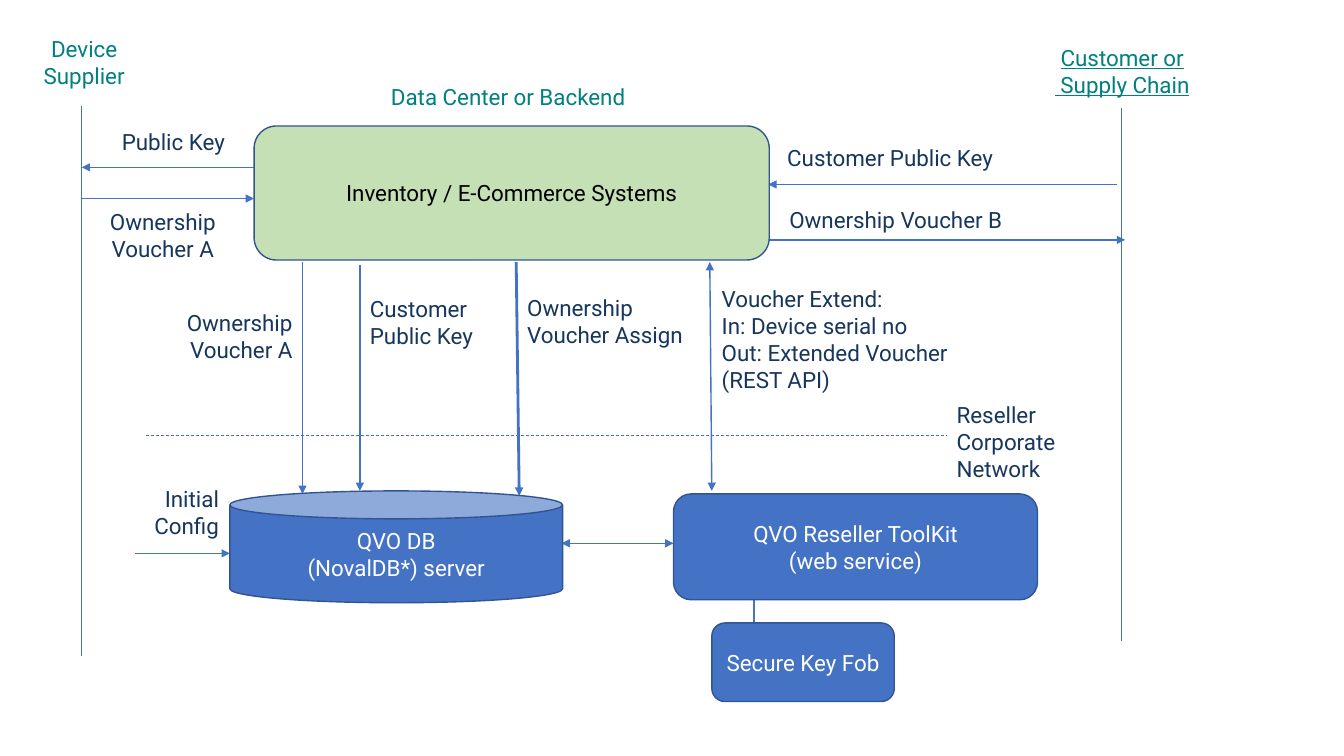
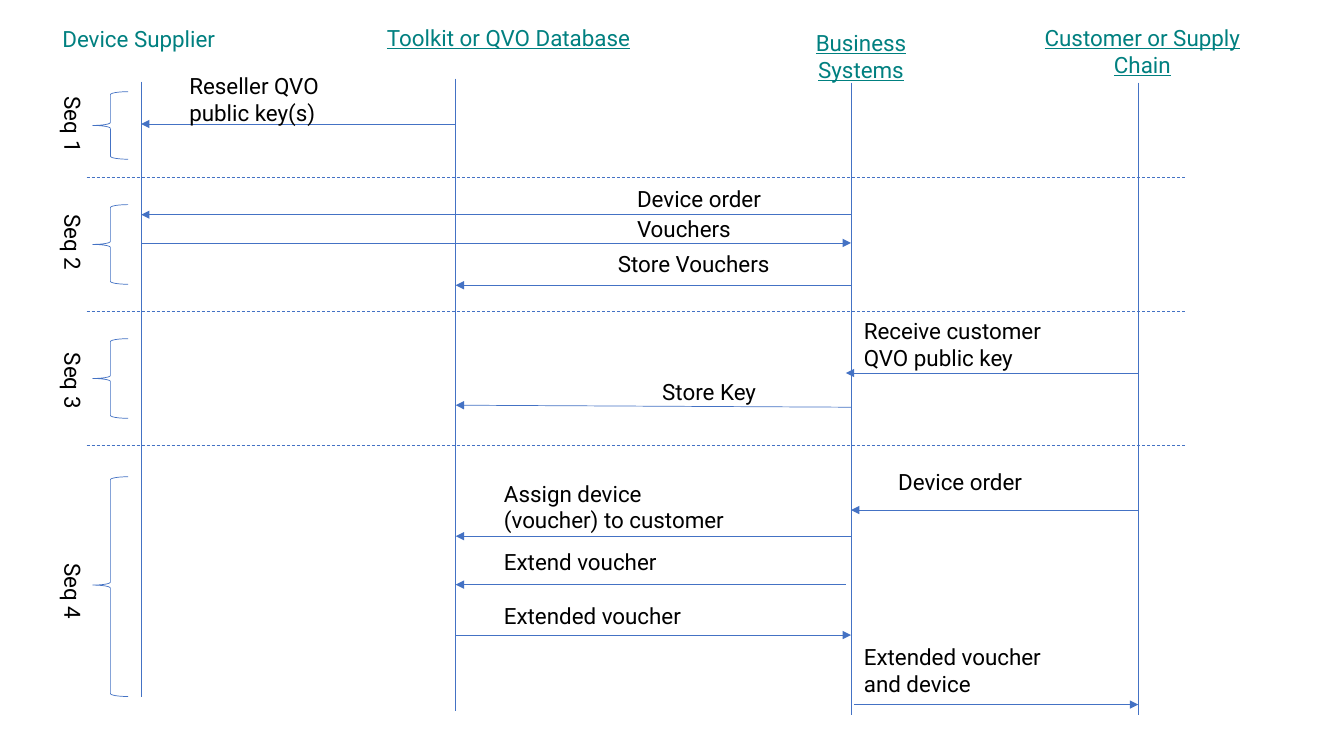
import dataclasses

import lxml.etree
import pptx
import pptx.dml.color
import pptx.enum.dml
import pptx.enum.shapes
import pptx.enum.text
import pptx.oxml.ns
import pptx.presentation
import pptx.slide
import pptx.text.text
import pptx.util

EMU_PER_PX = 9144  # 100 px to the inch
SLIDE_WIDTH, SLIDE_HEIGHT = 1333, 750
FONT, FONT_SIZE = "Roboto", 16

TEAL, NAVY, BLACK, WHITE = "008080", "17365D", "000000", "FFFFFF"
BLUE, EDGE_BLUE, GREEN = "4472C4", "325491", "C5E0B4"

SHAPES = pptx.enum.shapes.MSO_SHAPE
ANCHOR = pptx.enum.text.MSO_ANCHOR
LEFT = pptx.enum.text.PP_ALIGN.LEFT
CENTER = pptx.enum.text.PP_ALIGN.CENTER
RIGHT = pptx.enum.text.PP_ALIGN.RIGHT


@dataclasses.dataclass(frozen=True)
class Label:
    left: int
    top: int
    width: int
    height: int
    text: str
    color: str = BLACK
    align: pptx.enum.text.PP_ALIGN = LEFT
    underline: bool = False
    vertical: bool = False


@dataclasses.dataclass(frozen=True)
class Node:
    kind: pptx.enum.shapes.MSO_SHAPE
    left: int
    top: int
    width: int
    height: int
    text: str
    fill: str = BLUE
    color: str = WHITE


@dataclasses.dataclass(frozen=True)
class Line:
    x1: int
    y1: int
    x2: int
    y2: int
    weight: float = 0.5
    start_arrow: bool = False
    end_arrow: bool = False
    dashed: bool = False


@dataclasses.dataclass(frozen=True)
class Sequence:
    """A bracketed stage of the sequence diagram."""
    brace_top: int
    brace_height: int
    label_top: int
    adjustments: tuple[float, ...] = ()


def px(length: int) -> pptx.util.Emu:
    return pptx.util.Emu(length * EMU_PER_PX)


def rgb(color: str) -> pptx.dml.color.RGBColor:
    return pptx.dml.color.RGBColor.from_string(color)


def write(frame: pptx.text.text.TextFrame, text: str, color: str,
          align: pptx.enum.text.PP_ALIGN, underline: bool = False) -> None:
    frame.word_wrap = True
    frame.text = text
    for para in frame.paragraphs:
        para.alignment = align
        for span in para.runs:
            span.font.name = FONT
            span.font.size = pptx.util.Pt(FONT_SIZE)
            span.font.color.rgb = rgb(color)
            if underline:
                span.font.underline = True


def draw_label(page: pptx.slide.Slide, label: Label) -> None:
    box = page.shapes.add_textbox(
        px(label.left), px(label.top), px(label.width), px(label.height))
    frame = box.text_frame
    write(frame, label.text, label.color, label.align, label.underline)
    if label.vertical:
        frame.margin_left = frame.margin_right = 0
        frame.margin_top = frame.margin_bottom = 0
        body = box.element.find(".//" + pptx.oxml.ns.qn("a:bodyPr"))
        body.set("vert", "eaVert")


def draw_node(page: pptx.slide.Slide, node: Node) -> None:
    shape = page.shapes.add_shape(
        node.kind, px(node.left), px(node.top), px(node.width), px(node.height))
    shape.shadow.inherit = False
    shape.fill.solid()
    shape.fill.fore_color.rgb = rgb(node.fill)
    shape.line.color.rgb = rgb(EDGE_BLUE)
    shape.line.width = pptx.util.Pt(1)
    write(shape.text_frame, node.text, node.color, CENTER)
    shape.text_frame.vertical_anchor = ANCHOR.MIDDLE


def draw_line(page: pptx.slide.Slide, line: Line) -> None:
    connector = page.shapes.add_connector(
        pptx.enum.shapes.MSO_CONNECTOR.STRAIGHT,
        px(line.x1), px(line.y1), px(line.x2), px(line.y2))
    connector.line.color.rgb = rgb(BLUE)
    connector.line.width = pptx.util.Pt(line.weight)
    if line.dashed:
        connector.line.dash_style = pptx.enum.dml.MSO_LINE.DASH
    qn = pptx.oxml.ns.qn
    properties = connector.element.find(qn("p:spPr"))
    outline = properties.find(qn("a:ln"))
    for tag, wanted in (("a:headEnd", line.start_arrow),
                        ("a:tailEnd", line.end_arrow)):
        if wanted:
            lxml.etree.SubElement(outline, qn(tag), type="triangle")
    lxml.etree.SubElement(properties, qn("a:effectLst"))


def draw_sequence(page: pptx.slide.Slide, number: int, sequence: Sequence) -> None:
    brace = page.shapes.add_shape(
        SHAPES.LEFT_BRACE, px(92), px(sequence.brace_top),
        px(35), px(sequence.brace_height))
    brace.shadow.inherit = False
    brace.fill.background()
    brace.line.color.rgb = rgb(BLUE)
    brace.line.width = pptx.util.Pt(0.5)
    for index, value in enumerate(sequence.adjustments):
        brace.adjustments[index] = value
    draw_label(page, Label(24, sequence.label_top, 62, 56, f"Seq {number}",
                           align=CENTER, vertical=True))


def arrow(x1: int, y1: int, x2: int, y2: int, weight: float = 0.5,
          both: bool = False) -> Line:
    return Line(x1, y1, x2, y2, weight, start_arrow=both, end_arrow=True)


def add_page(deck: pptx.presentation.Presentation, lines: list[Line],
             nodes: list[Node], labels: list[Label]) -> pptx.slide.Slide:
    page = deck.slides.add_slide(deck.slide_layouts.get_by_name("Blank"))
    for line in lines:
        draw_line(page, line)
    for node in nodes:
        draw_node(page, node)
    for label in labels:
        draw_label(page, label)
    return page


def add_architecture(deck: pptx.presentation.Presentation) -> None:
    supplier, customer = 81, 1112
    inventory_left, inventory_right = 252, 762
    lines = [
        Line(supplier, 105, supplier, 651),
        Line(customer, 107, customer, 636),
        Line(145, 432, 939, 432, dashed=True),
        Line(748, 574, 748, 619, 1),
        arrow(inventory_left, 166, supplier, 166, 1),
        arrow(supplier, 197, inventory_left, 197, 1),
        arrow(1108, 183, inventory_right, 183, 1),
        arrow(inventory_right, 238, 1116, 238, 1),
        arrow(300, 260, 300, 490, 1),
        arrow(357, 263, 357, 487, 1),
        arrow(512, 260, 515, 492, 2),
        arrow(704, 260, 706, 487, 1, both=True),
        arrow(557, 539, 668, 539, 1, both=True),
        arrow(134, 549, 228, 549, 1),
    ]
    rounded = SHAPES.ROUNDED_RECTANGLE
    nodes = [
        Node(rounded, inventory_left, 125, 511, 133,
             "Inventory / E-Commerce Systems", GREEN, BLACK),
        Node(SHAPES.CAN, 228, 487, 330, 111, "QVO DB\n(NovalDB*) server"),
        Node(rounded, 668, 490, 361, 105, "QVO Reseller ToolKit\n(web service)"),
        Node(rounded, 706, 618, 181, 78, "Secure Key Fob"),
    ]
    labels = [
        Label(322, 78, 364, 46, "Data Center or Backend", TEAL, CENTER),
        Label(23, 30, 121, 65, "Device\nSupplier", TEAL, CENTER),
        Label(1012, 39, 202, 65, "Customer or\n Supply Chain", TEAL, CENTER, True),
        Label(76, 122, 192, 44, "Public Key", NAVY, CENTER),
        Label(83, 202, 157, 68, "Ownership Voucher A", NAVY, CENTER),
        Label(771, 138, 337, 44, "Customer Public Key", NAVY),
        Label(773, 200, 309, 38, "Ownership Voucher B", NAVY),
        Label(153, 302, 147, 68, "Ownership Voucher A", NAVY, RIGHT),
        Label(357, 288, 131, 92, "Customer Public Key", NAVY),
        Label(513, 287, 191, 93, "Ownership Voucher Assign", NAVY),
        Label(706, 278, 377, 115,
              "Voucher Extend:\nIn: Device serial no\n"
              "Out: Extended Voucher\n(REST API)", NAVY),
        Label(939, 393, 143, 92, "Reseller Corporate Network", NAVY),
        Label(102, 476, 125, 81, "Initial Config", NAVY, RIGHT),
    ]
    add_page(deck, lines, nodes, labels)


def add_sequence_diagram(deck: pptx.presentation.Presentation) -> None:
    supplier, toolkit, business, customer = 140, 452, 844, 1129
    lifelines = [
        Line(supplier, 81, supplier, 691),
        Line(toolkit, 78, toolkit, 705),
        Line(business, 82, business, 709),
        Line(customer, 82, customer, 709),
    ]
    dividers = [Line(86, 176 + 133 * row, 1175, 176 + 133 * row, dashed=True)
                for row in range(3)]
    messages = [
        arrow(toolkit, 123, supplier, 123),
        arrow(business, 213, supplier, 213),
        arrow(supplier, 241, business, 241),
        arrow(business, 283, toolkit, 283),
        arrow(customer, 370, 839, 370),
        arrow(business, 404, toolkit, 402),
        arrow(customer, 506, business, 506),
        arrow(business, 532, toolkit, 532),
        arrow(839, 580, toolkit, 580),
        arrow(toolkit, 630, business, 630),
        arrow(847, 699, customer, 699),
    ]
    labels = [
        Label(52, 20, 218, 58, "Device Supplier", TEAL),
        Label(374, 19, 326, 58, "Toolkit or QVO Database", TEAL, LEFT, True),
        Label(766, 24, 176, 58, "Business Systems", TEAL, CENTER, True),
        Label(1024, 19, 218, 58, "Customer or Supply Chain", TEAL, CENTER, True),
        Label(178, 67, 176, 52, "Reseller QVO public key(s)"),
        Label(622, 179, 248, 43, "Device order"),
        Label(622, 209, 207, 43, "Vouchers"),
        Label(603, 243, 262, 40, "Store Vouchers"),
        Label(847, 310, 204, 67, "Receive customer QVO public key"),
        Label(647, 370, 207, 45, "Store Key"),
        Label(881, 460, 248, 43, "Device order"),
        Label(490, 471, 252, 59, "Assign device (voucher) to customer"),
        Label(490, 539, 252, 54, "Extend voucher"),
        Label(490, 592, 297, 45, "Extended voucher"),
        Label(847, 633, 226, 59, "Extended voucher and device"),
    ]
    page = add_page(deck, lifelines + dividers + messages, [], labels)
    sequences = [
        Sequence(91, 67, 96),
        Sequence(203, 79, 213),
        Sequence(336, 79, 350),
        Sequence(473, 218, 559, (0.083, 0.493)),
    ]
    for number, sequence in enumerate(sequences, start=1):
        draw_sequence(page, number, sequence)


def main() -> None:
    deck = pptx.Presentation()
    deck.slide_width, deck.slide_height = px(SLIDE_WIDTH), px(SLIDE_HEIGHT)
    add_architecture(deck)
    add_sequence_diagram(deck)
    deck.save("out.pptx")


if __name__ == "__main__":
    main()
